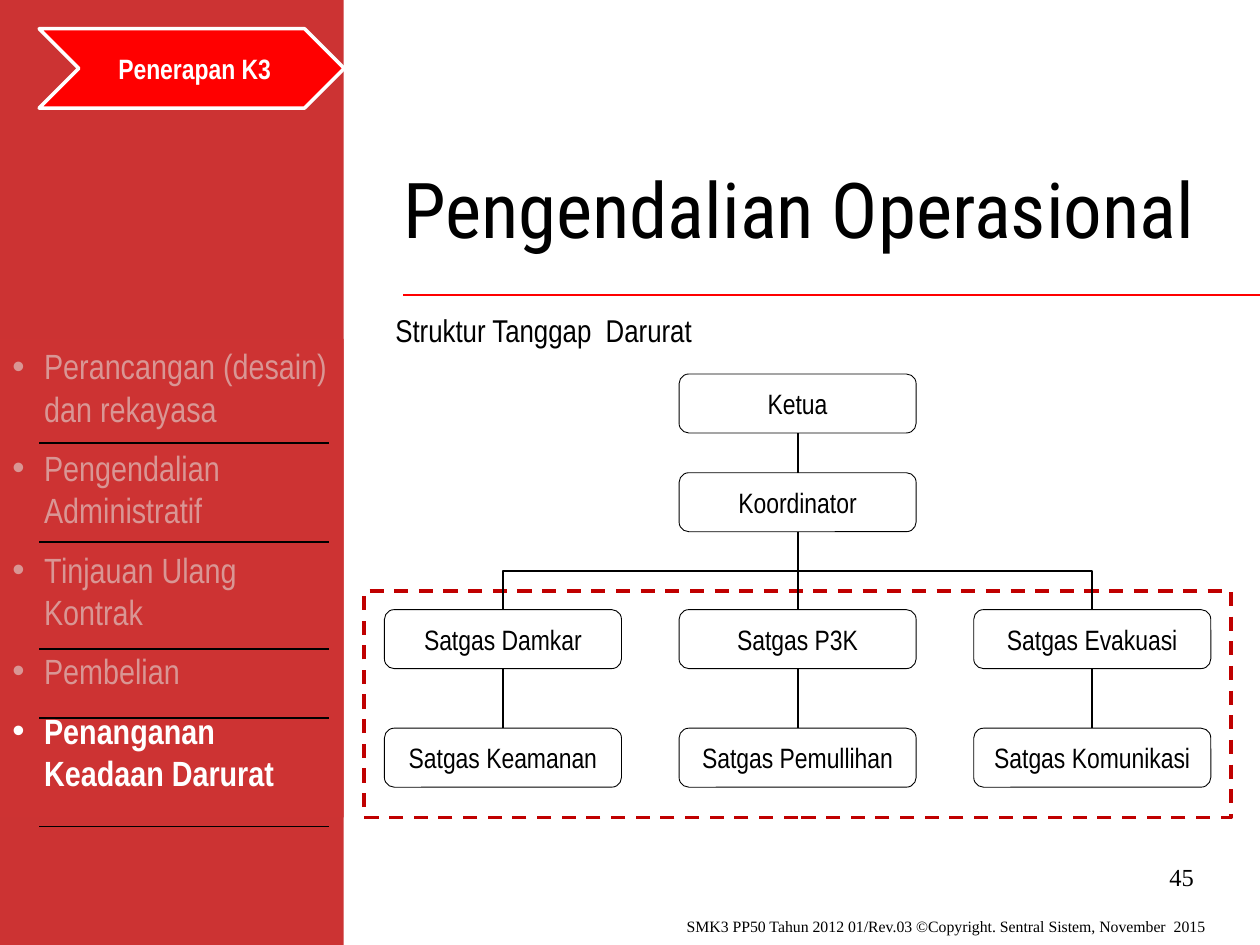
import pptx
import pptx.dml.color
import pptx.enum.dml
import pptx.enum.shapes
import pptx.enum.text
import pptx.oxml
import pptx.oxml.ns
import pptx.util
from dataclasses import dataclass
from lxml import etree

Cm = pptx.util.Cm
Pt = pptx.util.Pt
rgb = pptx.dml.color.RGBColor.from_string
qn = pptx.oxml.ns.qn
SHAPE = pptx.enum.shapes.MSO_SHAPE
CONNECTOR = pptx.enum.shapes.MSO_CONNECTOR
ALIGN = pptx.enum.text.PP_ALIGN
ANCHOR = pptx.enum.text.MSO_ANCHOR


@dataclass(frozen=True)
class Theme:
    ink: str = "000000"
    paper: str = "FFFFFF"
    red: str = "FF0000"
    dark_red: str = "C00000"
    panel: str = "CD3333"
    muted: str = "D99694"
    narrow: str = "Arial Narrow"
    heading: str = "Roboto Condensed"
    serif: str = "Times New Roman"
    title_size: int = 44
    menu_size: int = 20
    subtitle_size: int = 18
    box_size: int = 16
    number_size: int = 14
    footer_size: int = 9


theme = Theme()


def write(paragraph, text, font, size, color, align=ALIGN.LEFT, bold=False):
    paragraph.text = text
    paragraph.alignment = align
    paragraph.font.name = font
    paragraph.font.size = Pt(size)
    paragraph.font.bold = bold
    paragraph.font.color.rgb = rgb(color)


def connect(x1, y1, x2, y2, color=theme.ink, kind=CONNECTOR.STRAIGHT):
    link = slide.shapes.add_connector(kind, Cm(x1), Cm(y1), Cm(x2), Cm(y2))
    link.line.color.rgb = rgb(color)
    link.line.width = Pt(1)
    etree.SubElement(link._element.spPr, qn("a:effectLst"))
    return link


prs = pptx.Presentation()
prs.slide_width, prs.slide_height = Cm(25.4), Cm(19.05)
slide = prs.slides.add_slide(prs.slide_layouts[5])

# Title
title = slide.shapes.title
title.left, title.top, title.width, title.height = Cm(7.87), Cm(3.12), Cm(17.75), Cm(2.13)
title.text_frame.auto_size = pptx.enum.text.MSO_AUTO_SIZE.NONE
title.text_frame.vertical_anchor = ANCHOR.TOP
write(title.text_frame.paragraphs[0], "Pengendalian Operasional",
      theme.heading, theme.title_size, theme.ink)

# Sidebar, slightly transparent
sidebar = slide.shapes.add_shape(SHAPE.RECTANGLE, 0, 0, Cm(6.93), prs.slide_height)
sidebar.shadow.inherit = False
sidebar.line.fill.background()
sidebar.fill.solid()
sidebar.fill.fore_color.rgb = rgb(theme.dark_red)
sidebar_color = sidebar._element.spPr.find(".//" + qn("a:srgbClr"))
etree.SubElement(sidebar_color, qn("a:alpha"), val="80000")

# Chapter marker
chapter = slide.shapes.add_shape(SHAPE.CHEVRON, Cm(0.79), Cm(0.58), Cm(6.15), Cm(1.6))
chapter.shadow.inherit = False
chapter.fill.solid()
chapter.fill.fore_color.rgb = rgb(theme.red)
chapter.line.color.rgb = rgb(theme.paper)
chapter.line.width = Pt(2)
chapter_frame = chapter.text_frame
chapter_frame.margin_left = Cm(0.17)
chapter_frame.margin_right = chapter_frame.margin_top = chapter_frame.margin_bottom = Cm(0.05)
write(chapter_frame.paragraphs[0], "Penerapan K3", theme.narrow, theme.box_size,
      theme.paper, ALIGN.CENTER, bold=True)

# Menu: the current topic is the last one
topics = ["Perancangan (desain) dan rekayasa", "Pengendalian Administratif",
          "Tinjauan Ulang Kontrak", "Pembelian", "Penanganan Keadaan Darurat"]
menu = slide.shapes.add_shape(SHAPE.RECTANGLE, 0, Cm(6.83), Cm(6.93), Cm(9.65))
menu.shadow.inherit = False
menu.fill.solid()
menu.fill.fore_color.rgb = rgb(theme.panel)
menu.line.fill.background()
menu.text_frame.vertical_anchor = ANCHOR.TOP
for i, topic in enumerate(topics):
    entry = menu.text_frame.add_paragraph() if i else menu.text_frame.paragraphs[0]
    if i:
        entry.space_before = Pt(10)
    settings = entry._p.get_or_add_pPr()
    settings.set("marL", str(Cm(0.64)))
    settings.set("indent", str(-Cm(0.64)))
    etree.SubElement(settings, qn("a:buFont"), typeface="Arial")
    etree.SubElement(settings, qn("a:buChar"), char="•")
    current = topic == topics[-1]
    write(entry, topic, theme.narrow, theme.menu_size,
          theme.paper if current else theme.muted, bold=current)

for y in (8.93, 10.92, 13.09, 14.48, 16.66):
    connect(0.79, y, 6.63, y)

# Rule under the title
connect(8.13, 5.95, 25.4, 5.95, theme.red)

# Organisation chart boxes
box_width, box_height = 4.78, 1.19
columns = [7.75 + 5.94 * i for i in range(3)]
centers = [x + box_width / 2 for x in columns]
rows = [7.54, 9.53, 12.29, 14.68]
bottoms = [y + box_height for y in rows]
roles = [
    (1, 0, "Ketua"), (1, 1, "Koordinator"),
    (0, 2, "Satgas Damkar"), (1, 2, "Satgas P3K"), (2, 2, "Satgas Evakuasi"),
    (0, 3, "Satgas Keamanan"), (1, 3, "Satgas Pemullihan"), (2, 3, "Satgas Komunikasi"),
]
for column, row, role in roles:
    box = slide.shapes.add_shape(SHAPE.ROUNDED_RECTANGLE, Cm(columns[column]), Cm(rows[row]),
                                 Cm(box_width), Cm(box_height))
    box.shadow.inherit = False
    box.fill.solid()
    box.fill.fore_color.rgb = rgb(theme.paper)
    box.line.color.rgb = rgb(theme.ink)
    box.line.width = Pt(0.5)
    write(box.text_frame.paragraphs[0], role, theme.narrow, theme.box_size,
          theme.ink, ALIGN.CENTER)

# Dashed frame around the task forces
frame = slide.shapes.add_shape(SHAPE.RECTANGLE, Cm(7.34), Cm(11.91), Cm(17.48), Cm(4.57))
frame.shadow.inherit = False
frame.fill.background()
frame.line.color.rgb = rgb(theme.dark_red)
frame.line.width = Pt(2)
frame.line.dash_style = pptx.enum.dml.MSO_LINE.DASH

# Straight links down the chart
connect(centers[1], bottoms[0], centers[1], rows[1])
connect(centers[1], bottoms[1], centers[1], rows[2])
for x in centers:
    connect(x, bottoms[2], x, rows[3])

# Elbows to the outer task forces, turned to leave the coordinator downwards
drop = rows[2] - bottoms[1]
reach = centers[1] - centers[0]
middle = (bottoms[1] + rows[2]) / 2
for outer, side, degrees in ((centers[0], 1, 90), (centers[2], -1, 270)):
    x = (centers[1] + outer) / 2
    elbow = connect(x - side * drop / 2, middle - reach / 2,
                    x + side * drop / 2, middle + reach / 2, kind=CONNECTOR.ELBOW)
    elbow._element.spPr.find(qn("a:xfrm")).set("rot", str(degrees * 60000))

# Subtitle, footer and page number
captions = [
    ("Struktur Tanggap  Darurat", (7.72, 6.15, 6.58, 1.02), theme.narrow,
     theme.subtitle_size, ALIGN.LEFT, ANCHOR.TOP, False),
    ("SMK3 PP50 Tahun 2012 01/Rev.03 ©Copyright. Sentral Sistem, November  2015",
     (13.11, 18.49, 11.43, 0.38), theme.serif, theme.footer_size,
     ALIGN.RIGHT, ANCHOR.MIDDLE, True),
    ("45", (23.11, 17.25, 1.42, 1.02), theme.serif, theme.number_size,
     ALIGN.CENTER, ANCHOR.TOP, True),
]
for text, place, font, size, align, anchor, wrap in captions:
    caption = slide.shapes.add_textbox(*map(Cm, place)).text_frame
    caption.word_wrap = wrap
    caption.vertical_anchor = anchor
    write(caption.paragraphs[0], text, font, size, theme.ink, align)

prs.save("out.pptx")
